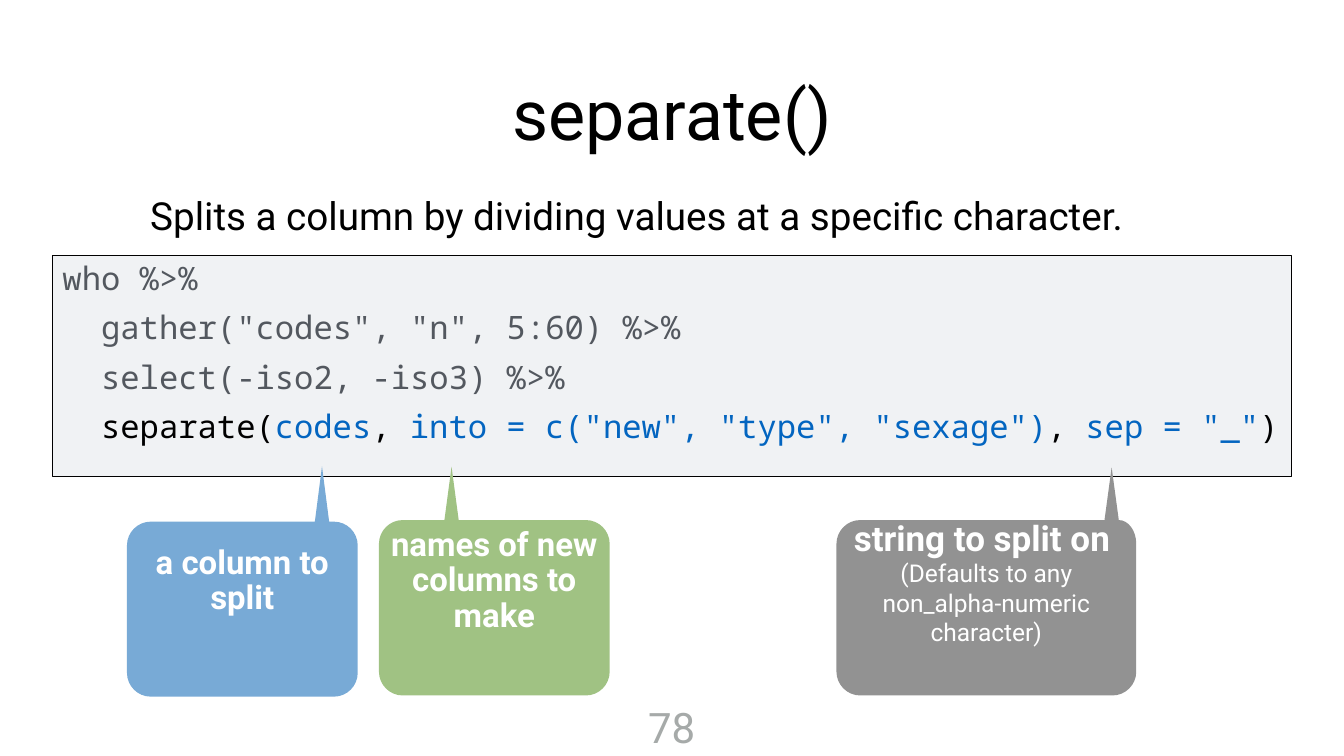
from pptx import Presentation
from pptx import util as u
from pptx.dml.color import RGBColor
from pptx.enum import shapes, text
from pptx.oxml import ns
from lxml import etree

SANS, MONO = "Roboto", "Noto Sans Mono"
BLACK, WHITE, GREY, BLUE = "000000", "FFFFFF", "53585F", "0365C0"
MIDDLE, TOP = text.MSO_ANCHOR.MIDDLE, text.MSO_ANCHOR.TOP
CENTER, LEFT = text.PP_ALIGN.CENTER, text.PP_ALIGN.LEFT

CODE = [
    [("who %>%", GREY)],
    [('  gather("codes", "n", 5:60) %>%', GREY)],
    [("  select(-iso2, -iso3) %>%", GREY)],
    [("  separate(", BLACK), ("codes", BLUE), (", ", BLACK),
     ('into = c("new", "type", "sexage")', BLUE), (", ", BLACK),
     ('sep = "_"', BLUE), (")", BLACK)],
]
CALLOUTS = [
    ((19.1, 26.21, 11.63, 8.84), (22.76, 23.52), "A0C283", 0.9,
     [("names of new columns to make", 47, True)]),
    ((6.4, 26.29, 11.63, 8.82), (16.23, 23.5), "78AAD6", 0.9,
     [("a column to split", 47, True)]),
    ((42.16, 26.21, 15.11, 8.84), (56.03, 23.55), "929292", 1.0,
     [("string to split on ", 50, True),
      ("(Defaults to any non_alpha-numeric character)", 35, False)]),
]


def rgb(color):
    return RGBColor.from_string(color)


def place(sp, box):
    for name, value in zip(("left", "top", "width", "height"), box):
        setattr(sp, name, u.Cm(value))


def frame(sp, anchor, inset, wrap=True):
    tf = sp.text_frame
    fmt = {"vertical_anchor": anchor, "word_wrap": wrap,
           "auto_size": text.MSO_AUTO_SIZE.NONE}
    fmt.update({f"margin_{side}": u.Cm(inset)
                for side in ("left", "top", "right", "bottom")})
    for name, value in fmt.items():
        setattr(tf, name, value)
    return tf


def paragraph(tf, i, align, before=0, spacing=1.0):
    p = tf.paragraphs[0] if i == 0 else tf.add_paragraph()
    fmt = {"alignment": align, "line_spacing": spacing,
           "space_before": u.Pt(before if i else 0)}
    for name, value in fmt.items():
        setattr(p, name, value)
    return p


def add_run(p, words, size, color, font=SANS, bold=False):
    r = p.add_run()
    r.text = words
    for name, value in {"name": font, "size": u.Pt(size), "bold": bold}.items():
        setattr(r.font, name, value)
    r.font.color.rgb = rgb(color)


def heading(sp, box, words, size, align):
    place(sp, box)
    p = paragraph(frame(sp, MIDDLE, 0.15), 0, align)
    pPr = p._p.get_or_add_pPr()
    pPr.set("marL", "0")
    pPr.set("indent", "0")
    etree.SubElement(pPr, ns.qn("a:buNone"))
    add_run(p, words, size, BLACK)


def code_panel(s, box):
    x, y, w, h = box
    sp = s.shapes.add_shape(shapes.MSO_SHAPE.RECTANGLE, *map(u.Cm, box))
    sp.shadow.inherit = False
    sp.fill.solid()
    sp.fill.fore_color.rgb = rgb("F0F2F4")
    sp.line.color.rgb = rgb(BLACK)
    sp.line.width = u.Pt(1)
    tb = s.shapes.add_textbox(*map(u.Cm, (x + 0.36, y, w - 0.36, h - 0.48)))
    tf = frame(tb, TOP, 0.15)
    for i, line in enumerate(CODE):
        p = paragraph(tf, i, LEFT, before=15)
        for words, color in line:
            add_run(p, words, 46, color, MONO)


def callout_outline(box, tip, radius=1.2, half=0.36):
    x, y, w, h = box
    left, right, upper, lower = x + radius, x + w - radius, y + radius, y + h - radius
    base = tip[0] + half
    return [tip, (tip[0] - half, y), (left, y), (x, upper), (x, lower),
            (left, y + h), (right, y + h), (x + w, lower), (x + w, upper),
            (max(right, base), y), (base, y)]


def round_corners(sp, bend=0.55):
    segments = list(sp._element.iter(ns.qn("a:lnTo")))
    ends = [(int(seg[0].get("x")), int(seg[0].get("y"))) for seg in segments]
    for i in (2, 4, 6, 8):
        (x0, y0), (x1, y1) = ends[i - 1], ends[i]
        cx, cy = (x1, y0) if i in (2, 6) else (x0, y1)
        segments[i].tag = ns.qn("a:cubicBezTo")
        for k, (px, py) in enumerate([(x0, y0), (x1, y1)]):
            pt = etree.Element(ns.qn("a:pt"))
            pt.set("x", str(round(px + bend * (cx - px))))
            pt.set("y", str(round(py + bend * (cy - py))))
            segments[i].insert(k, pt)


def callout(s, box, tip, color, spacing, lines):
    start, *rest = [tuple(map(u.Cm, pt)) for pt in callout_outline(box, tip)]
    fb = s.shapes.build_freeform(*start)
    fb.add_line_segments(rest, close=True)
    sp = fb.convert_to_shape()
    round_corners(sp)
    sp.shadow.inherit = False
    sp.fill.solid()
    sp.fill.fore_color.rgb = rgb(color)
    sp.line.fill.background()
    tf = frame(sp, MIDDLE, 0.2)
    for i, (words, size, bold) in enumerate(lines):
        p = paragraph(tf, i, CENTER, spacing=spacing)
        add_run(p, words, size, WHITE, bold=bold)


def page_number(s, box, number):
    tb = s.shapes.add_textbox(*map(u.Cm, box))
    p = paragraph(frame(tb, TOP, 0.2, wrap=False), 0, CENTER)
    add_run(p, number, 60, "A6AAA9")


def main():
    prs = Presentation()
    prs.slide_width, prs.slide_height = u.Cm(67.74), u.Cm(38.1)
    s = prs.slides.add_slide(prs.slide_layouts[1])
    heading(s.shapes.title, (11.13, 2.34, 45.47, 6.65), "separate()", 100, CENTER)
    heading(s.placeholders[1], (7.42, 8.84, 49.7, 3.96),
            "Splits a column by dividing values at a specific character.", 55.2, LEFT)
    code_panel(s, (2.64, 12.88, 62.43, 11.15))
    for item in CALLOUTS:
        callout(s, *item)
    page_number(s, (32.46, 35.15, 2.79, 2.95), "78")
    prs.save("out.pptx")


if __name__ == "__main__":
    main()
